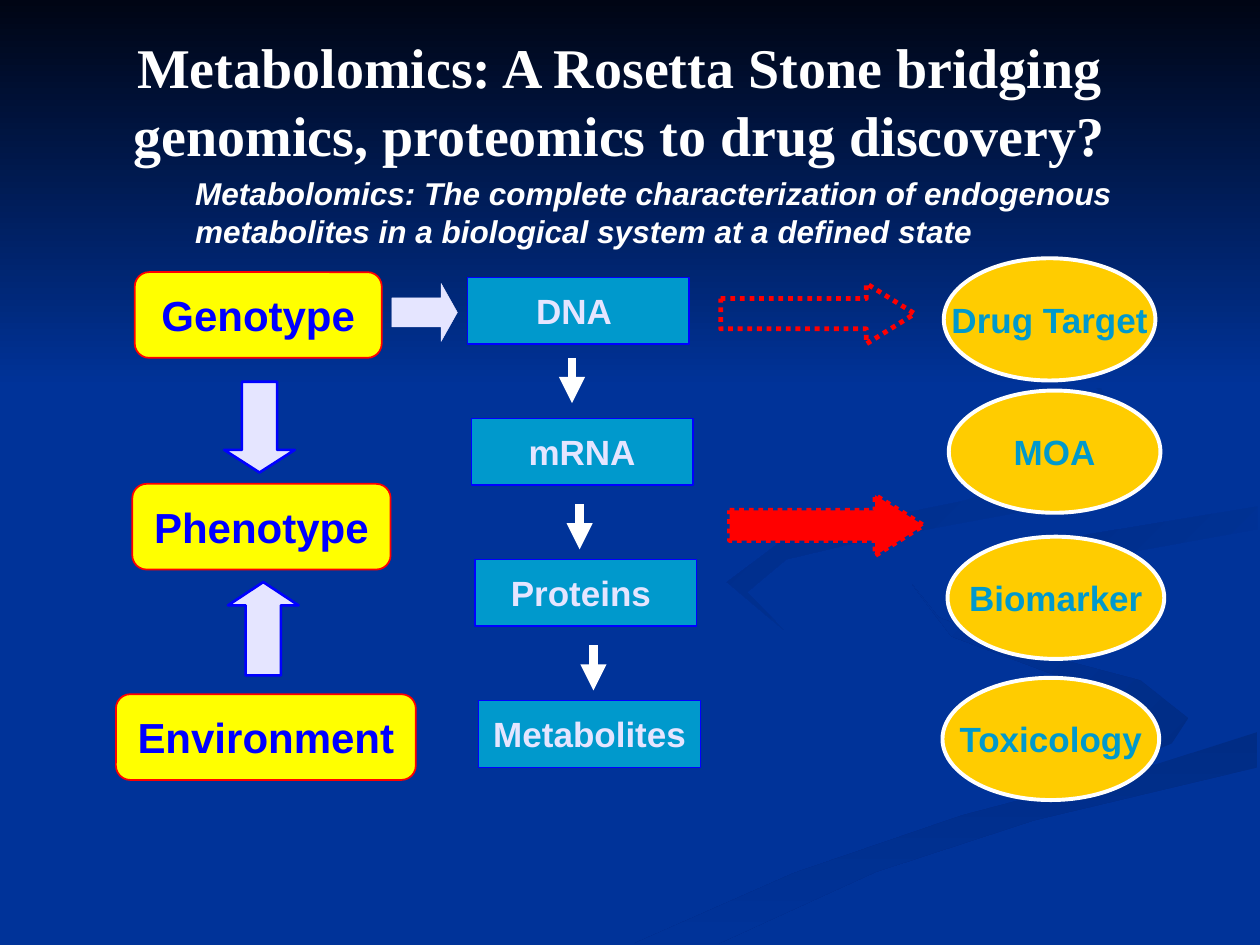
from lxml import etree
from pptx import Presentation
from pptx import util as u
from pptx.dml.color import RGBColor
from pptx.enum import dml, shapes, text
from pptx.oxml.ns import qn

NAVY = RGBColor(0x00, 0x33, 0x99)
NIGHT = RGBColor(0x00, 0x05, 0x14)
DEEP = RGBColor(0x00, 0x2C, 0x85)
WHITE = RGBColor(0xFF, 0xFF, 0xFF)
PALE = RGBColor(0xE5, 0xE5, 0xFF)
BLUE = RGBColor(0x00, 0x00, 0xFF)
TEAL = RGBColor(0x00, 0x99, 0xCC)
GOLD = RGBColor(0xFF, 0xCC, 0x00)
YELLOW = RGBColor(0xFF, 0xFF, 0x00)
RED = RGBColor(0xFF, 0x00, 0x00)

deck = Presentation()
deck.slide_width, deck.slide_height = u.Inches(10), u.Inches(7.5)
COL, ROW = deck.slide_width / 10, deck.slide_height / 7.5
slide = deck.slides.add_slide(deck.slide_layouts[6])
slide.background.fill.solid()
slide.background.fill.fore_color.rgb = NAVY
KIND = shapes.MSO_SHAPE


def write(frame, words, color, look, align=text.PP_ALIGN.CENTER):
    """Fill a text frame and give every run the same look."""
    frame.text = words
    frame.vertical_anchor = text.MSO_ANCHOR.MIDDLE
    for para in frame.paragraphs:
        para.alignment = align
        for run in para.runs:
            run.font.color.rgb = color
            for key, value in look.items():
                setattr(run.font, key, value)


def draw(kind, box, fill, line, width, adjust=()):
    """Add a preset shape; box is left, top, width, height in grid cells."""
    left, top, wide, high = box
    item = slide.shapes.add_shape(kind, int(left * COL), int(top * ROW),
                                  int(wide * COL), int(high * ROW))
    item.shadow.inherit = False
    if fill is None:
        item.fill.background()
    else:
        item.fill.solid()
        item.fill.fore_color.rgb = fill
    item.line.color.rgb = line
    item.line.width = u.Pt(width)
    for i, value in enumerate(adjust):
        item.adjustments[i] = value
    return item


# Backdrop: start colour, end colour, clockwise angle, outline in grid cells
RIBBONS = [
    (DEEP, NAVY, 225, [
        (7.24, 4.64), (7.45, 4.9), (8.1, 5.15), (9.05, 5.4), (9.43, 5.7),
        (9.3, 5.9), (8.94, 6.05), (9.18, 5.8), (9, 5.57), (8.38, 5.36),
        (7.55, 5.05)]),
    (DEEP, NAVY, 90, [
        (5.03, 7.49), (5.7, 7.49), (6.95, 6.92), (8.21, 6.51), (9.98, 6.09),
        (9.98, 5.81), (9.2, 6.06), (7.64, 6.47), (6.3, 6.93)]),
    (NAVY, DEEP, 225, [
        (7.81, 4.6), (7.91, 4.78), (8.26, 4.96), (8.05, 4.72), (8.43, 4.48),
        (9.98, 4.2), (9.98, 4.02), (8.65, 4.24), (8, 4.42)]),
    (NAVY, DEEP, 225, [
        (6.83, 4.3), (8.07, 4.07), (8.76, 3.78), (8.94, 3.44), (8.64, 2.91),
        (7.62, 2.33), (8.55, 2.85), (8.89, 3.35), (8.61, 3.7), (7.63, 3.98),
        (6.25, 4.26), (5.77, 4.62), (6.22, 5), (5.93, 4.7), (6.24, 4.44)]),
    (NIGHT, NAVY, 90, [(0, 0), (0, 3.08), (10, 3.08), (10, 0)]),
]
for start, end, angle, edge in RIBBONS:
    spots = [(int(x * COL), int(y * ROW)) for x, y in edge]
    pen = slide.shapes.build_freeform(*spots[0])
    pen.add_line_segments(spots[1:], close=True)
    band = pen.convert_to_shape()
    band.shadow.inherit = False
    band.line.fill.background()
    band.fill.gradient()
    band.fill.gradient_angle = 360 - angle
    for stop, color in zip(band.fill.gradient_stops, (start, end)):
        stop.color.rgb = color

# Title and definition
HEADS = [
    ((0.42, 0.17, 9, 1.25), text.PP_ALIGN.CENTER,
     "Metabolomics: A Rosetta Stone bridging\vgenomics, proteomics to drug discovery?",
     dict(size=u.Pt(32), name="Times New Roman", bold=True)),
    ((1.45, 1.33, 7.79, 0.7), text.PP_ALIGN.LEFT,
     "Metabolomics: The complete characterization of endogenous\n"
     "metabolites in a biological system at a defined state",
     dict(size=u.Pt(18), name="Arial", bold=True, italic=True)),
]
for (left, top, wide, high), align, words, look in HEADS:
    box = slide.shapes.add_textbox(int(left * COL), int(top * ROW),
                                   int(wide * COL), int(high * ROW))
    box.text_frame.word_wrap = True
    write(box.text_frame, words, WHITE, look, align)

# Labelled nodes: one style per column, each with label, left, top, width
STYLES = [
    (KIND.ROUNDED_RECTANGLE, 0.68, YELLOW, RED, 1, BLUE, 24, [
        ("Genotype", 1.07, 2.16, 1.96),
        ("Phenotype", 1.05, 3.84, 2.05),
        ("Environment", 0.92, 5.51, 2.38)]),
    (KIND.RECTANGLE, 0.53, TEAL, BLUE, 0.75, PALE, 20, [
        (words, 3.71 + 0.03 * i, 2.2 + 1.12 * i, 1.76)
        for i, words in enumerate(["DNA ", "mRNA", "Proteins ", "Metabolites"])]),
    (KIND.OVAL, 0.97, GOLD, WHITE, 2.25, TEAL, 20, [
        ("Drug Target", 7.49, 2.05, 1.68),
        ("MOA", 7.53, 3.1, 1.68),
        ("Biomarker", 7.52, 4.26, 1.72),
        ("Toxicology", 7.48, 5.38, 1.72)]),
]
for kind, high, fill, line, width, ink, size, nodes in STYLES:
    for words, left, top, wide in nodes:
        node = draw(kind, (left, top, wide, high), fill, line, width)
        node.text_frame.word_wrap = False
        write(node.text_frame, words, ink,
              dict(size=u.Pt(size), name="Arial", bold=True))

# Block arrows
draw(KIND.DOWN_ARROW, (1.78, 3.03, 0.56, 0.72), PALE, BLUE, 1.5, (0.5, 0.32))
draw(KIND.UP_ARROW, (1.81, 4.62, 0.56, 0.74), PALE, BLUE, 1.5, (0.5, 0.33))
draw(KIND.RIGHT_ARROW, (3.11, 2.25, 0.52, 0.46), PALE, PALE, 0.25, (0.5, 0.28))
for left, top, fill in [(5.72, 2.25, None), (5.79, 3.93, RED)]:
    arrow = draw(KIND.RIGHT_ARROW, (left, top, 1.54, 0.48), fill, RED, 2.75, (0.5, 0.8))
    arrow.line.dash_style = dml.MSO_LINE.ROUND_DOT

# Steps from DNA down to metabolites
for x, top in [(4.54, 2.84), (4.6, 4), (4.71, 5.12)]:
    step = slide.shapes.add_connector(shapes.MSO_CONNECTOR.STRAIGHT, int(x * COL),
                                      int(top * ROW), int(x * COL),
                                      int((top + 0.36) * ROW))
    step.line.color.rgb = WHITE
    step.line.width = u.Pt(5)
    outline = step._element.spPr.find(qn("a:ln"))
    etree.SubElement(outline, qn("a:tailEnd"), type="triangle")
    etree.SubElement(step._element.spPr, qn("a:effectLst"))

deck.save("out.pptx")
